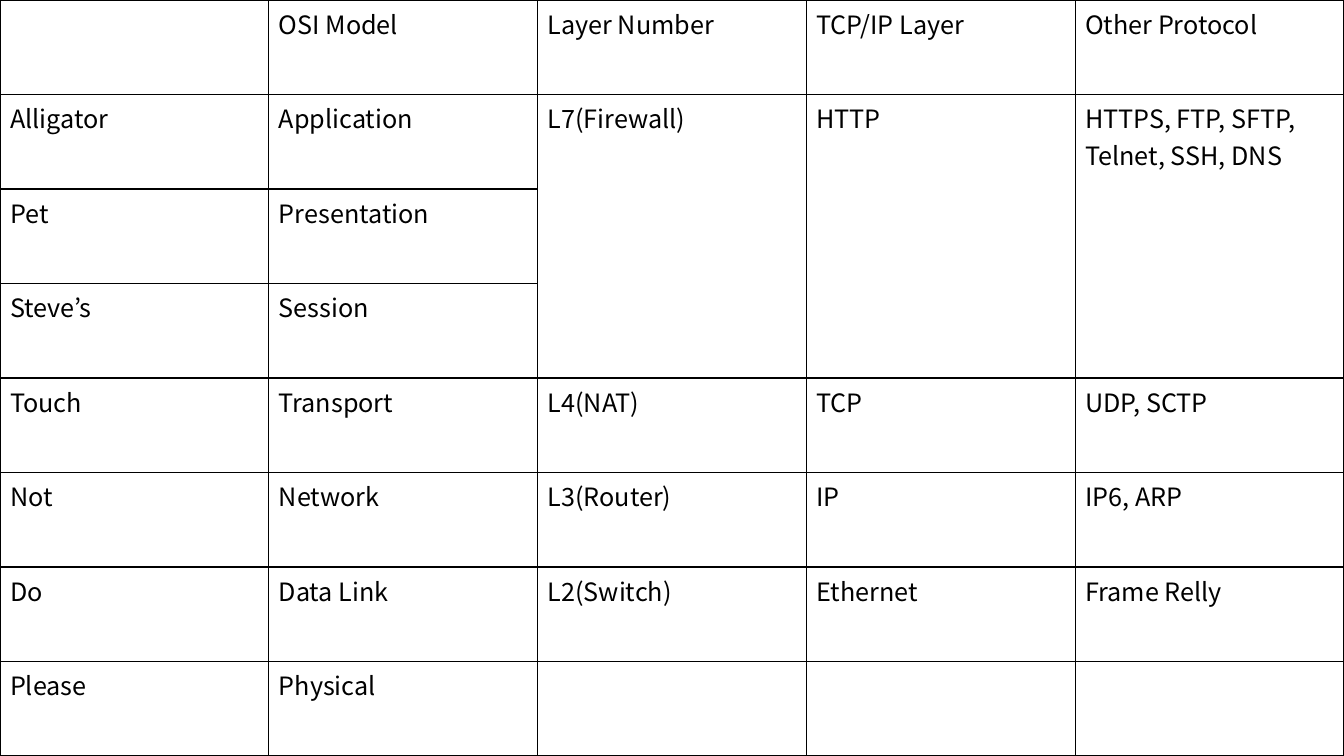
from lxml import etree
from pptx import Presentation
from pptx.dml.color import RGBColor
from pptx.oxml.ns import qn
from pptx.util import Inches, Pt

COLORS = {"ink": "000000", "paper": "FFFFFF"}
FONT = "Noto Sans CJK KR"
BLANK_LAYOUT = 6
PAGE_WIDTH, PAGE_HEIGHT = 13.33, 7.5

LAYERS = [
    ["", "OSI Model", "Layer Number", "TCP/IP Layer", "Other Protocol"],
    ["Alligator", "Application", "L7(Firewall)", "HTTP",
     "HTTPS, FTP, SFTP, Telnet, SSH, DNS"],
    ["Pet", "Presentation", "", "", ""],
    ["Steve’s", "Session", "", "", ""],
    ["Touch", "Transport", "L4(NAT)", "TCP", "UDP, SCTP"],
    ["Not", "Network", "L3(Router)", "IP", "IP6, ARP"],
    ["Do", "Data Link", "L2(Switch)", "Ethernet", "Frame Relly"],
    ["Please", "Physical", "", "", ""],
]
# The top three OSI layers share one cell in each of these columns
SHARED_ROWS = (1, 3)
SHARED_COLUMNS = (2, 3, 4)


def add_borders(cell):
    properties = cell._tc.get_or_add_tcPr()
    for side in ("a:lnL", "a:lnR", "a:lnT", "a:lnB"):
        line = etree.SubElement(properties, qn(side), w=str(Pt(1)))
        fill = etree.SubElement(line, qn("a:solidFill"))
        etree.SubElement(fill, qn("a:srgbClr"), val=COLORS["ink"])


def style_cell(cell, text):
    cell.text = text
    add_borders(cell)
    cell.fill.solid()
    cell.fill.fore_color.rgb = RGBColor.from_string(COLORS["paper"])
    font = cell.text_frame.paragraphs[0].font
    font.name = FONT
    font.size = Pt(18)
    font.color.rgb = RGBColor.from_string(COLORS["ink"])


def add_layer_table(page, left, top, width, height):
    row_count, column_count = len(LAYERS), len(LAYERS[0])
    table = page.shapes.add_table(
        row_count, column_count,
        Inches(left), Inches(top), Inches(width), Inches(height)).table
    table.first_row = False
    table.horz_banding = False

    # Equal rows and columns
    for column in table.columns:
        column.width = Inches(width / column_count)
    for row in table.rows:
        row.height = Inches(height / row_count)

    # Cell contents
    for row, texts in zip(table.rows, LAYERS):
        for cell, text in zip(row.cells, texts):
            style_cell(cell, text)

    # Shared cells
    first, last = SHARED_ROWS
    for column in SHARED_COLUMNS:
        table.cell(first, column).merge(table.cell(last, column))


def main():
    deck = Presentation()
    deck.slide_width = Inches(PAGE_WIDTH)
    deck.slide_height = Inches(PAGE_HEIGHT)
    page = deck.slides.add_slide(deck.slide_layouts[BLANK_LAYOUT])
    add_layer_table(page, 0, 0, PAGE_WIDTH, PAGE_HEIGHT)
    deck.save("out.pptx")


if __name__ == "__main__":
    main()
